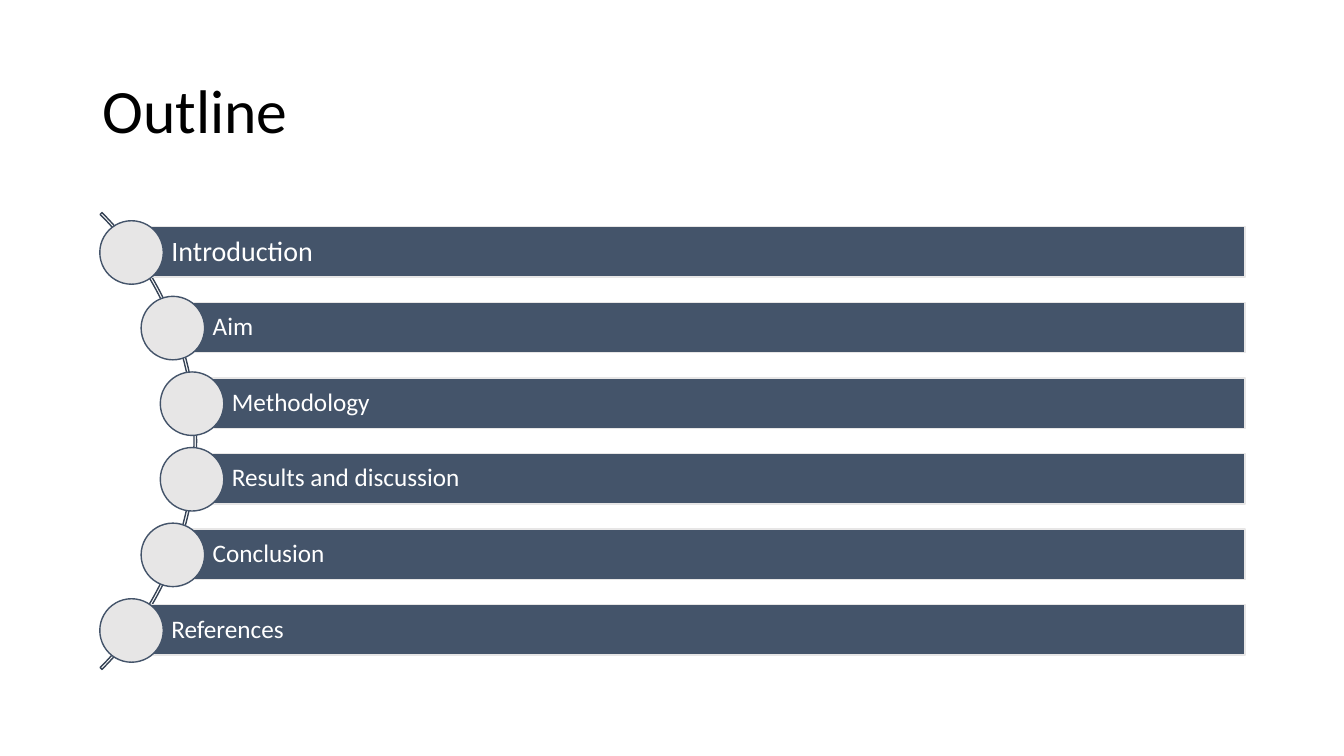
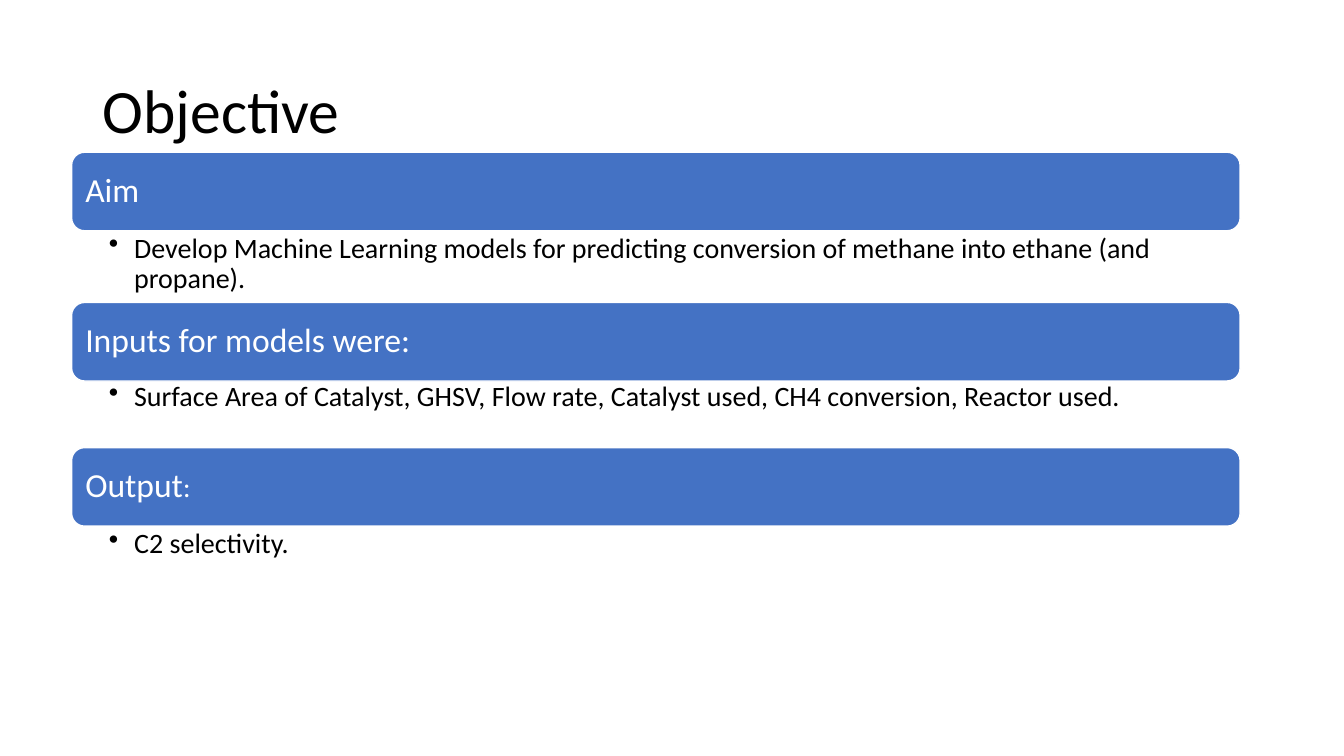
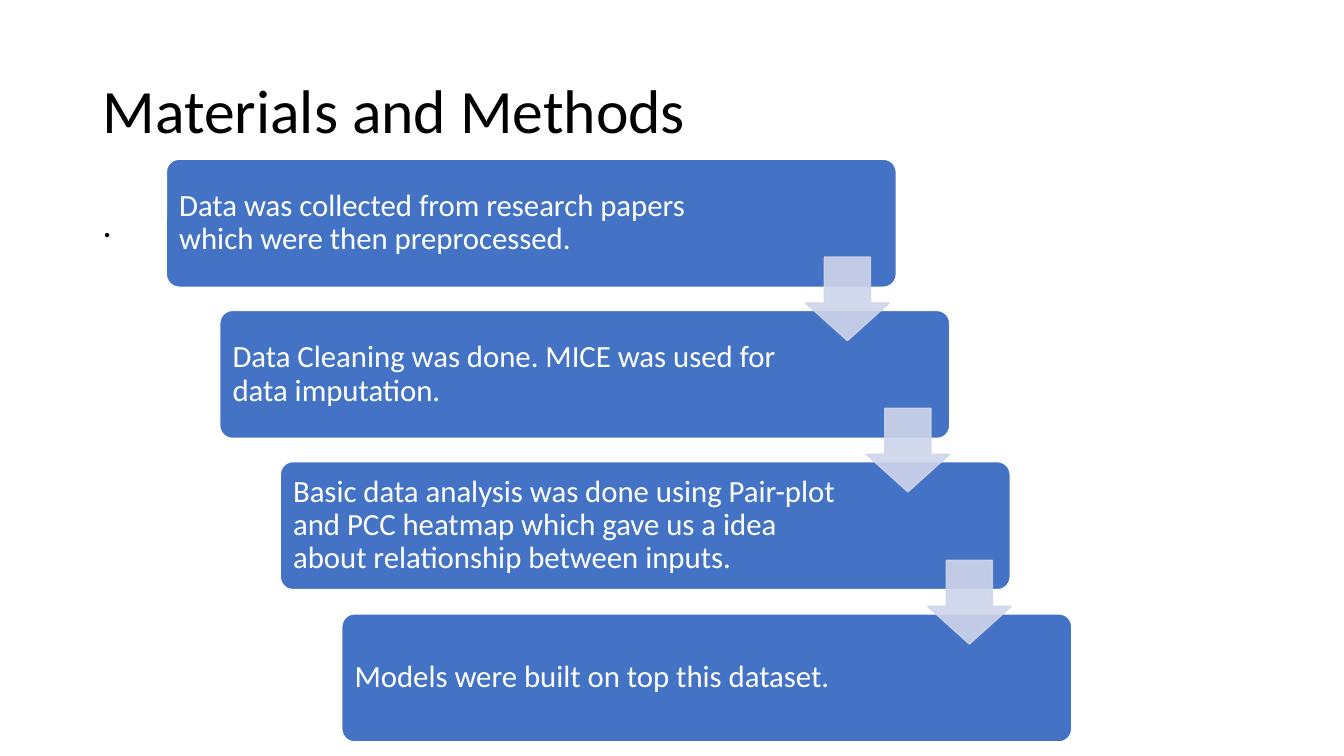
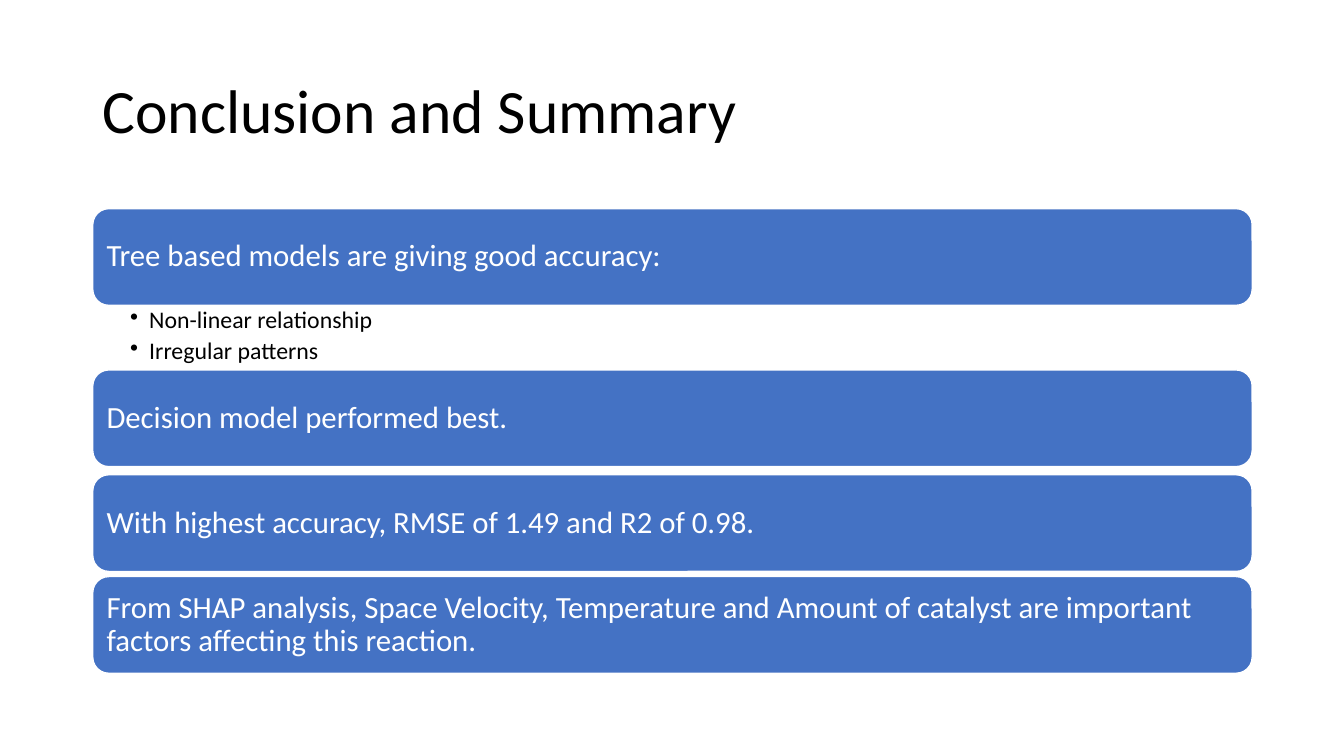
from dataclasses import dataclass

import pptx
import pptx.dml.color
import pptx.enum.shapes
import pptx.enum.text
import pptx.oxml.ns
import pptx.util
from lxml import etree

# Shared style: 100 px to the inch
PX = 9144
FONT = "Calibri"
BLACK, WHITE = "000000", "FFFFFF"
BLUE, SLATE, GREY = "4472C4", "44546A", "E7E6E6"
PALE, ARC_LINE = "CFD5EA", "364355"
SHAPE = pptx.enum.shapes.MSO_SHAPE
ANCHOR = pptx.enum.text.MSO_ANCHOR
Box = tuple[int, int, int, int]
DEFAULT_INSETS: Box = (10, 5, 10, 5)


@dataclass(frozen=True)
class OutlineItem:
    text: str
    x: int
    size: int = 18


@dataclass(frozen=True)
class Section:
    heading: str
    y: int
    bullets: str = ""
    bullets_y: int = 0
    tail: str = ""  # smaller end of the heading


@dataclass(frozen=True)
class SectionStyle:
    x: int
    w: int
    h: int
    size: int
    inset: int
    bullet_h: int
    bullet_size: int
    bullet_indent: int


@dataclass(frozen=True)
class Step:
    text: str
    x: int


OUTLINE = [
    OutlineItem("Introduction", 130, 20),
    OutlineItem("Aim", 171),
    OutlineItem("Methodology", 190),
    OutlineItem("Results and discussion", 190),
    OutlineItem("Conclusion", 171),
    OutlineItem("References", 130),
]

OBJECTIVE_STYLE = SectionStyle(71, 1159, 78, 24, 10, 69, 20, 25)
OBJECTIVE = [
    Section("Aim", 151, "Develop Machine Learning models for predicting conversion "
            "of methane into ethane (and propane).", 229),
    Section("Inputs for models were:", 300, "Surface Area of Catalyst, GHSV, Flow rate, "
            "Catalyst used, CH4 conversion, Reactor used.", 376),
    Section("Output", 444, "C2 selectivity.", 522, tail=":"),
]

STEPS = [
    Step("Data was collected from research papers which were then preprocessed.", 165),
    Step("Data Cleaning was done. MICE was used for data imputation.", 218),
    Step("Basic data analysis was done using Pair-plot and PCC heatmap which gave us "
         "a idea about relationship between inputs.", 278),
    Step("Models were built on top this dataset.", 339),
]

SUMMARY_STYLE = SectionStyle(92, 1150, 96, 22, 9, 65, 17, 19)
SUMMARY = [
    Section("Tree based models are giving good accuracy:", 207,
            "Non-linear relationship\nIrregular patterns", 303),
    Section("Decision model performed best.", 367),
    Section("With highest accuracy, RMSE of 1.49 and R2 of 0.98.", 471),
    Section("From SHAP analysis, Space Velocity, Temperature and Amount of catalyst "
            "are important factors affecting this reaction.", 572),
]


# Helpers
def px(n: int) -> pptx.util.Emu:
    return pptx.util.Emu(n * PX)


def rgb(color: str) -> pptx.dml.color.RGBColor:
    return pptx.dml.color.RGBColor.from_string(color)


def add_run(p, text: str, *, size: int, color: str) -> None:
    r = p.add_run()
    r.text = text
    r.font.name = FONT
    r.font.size = pptx.util.Pt(size)
    r.font.color.rgb = rgb(color)


def add_bullet(p, indent: int) -> None:
    pPr = p._p.get_or_add_pPr()
    pPr.set("marL", str(px(indent)))
    pPr.set("indent", str(-px(indent)))
    etree.SubElement(pPr, pptx.oxml.ns.qn("a:buChar")).set("char", "•")


def write(sp, text: str, *, size: int, color: str = WHITE, insets: Box = DEFAULT_INSETS,
          anchor=ANCHOR.MIDDLE, bullet_indent: int = 0):
    """Fill a shape with one paragraph a line; return the last paragraph."""
    tf = sp.text_frame
    tf.word_wrap = True
    tf.vertical_anchor = anchor
    tf.margin_left, tf.margin_top, tf.margin_right, tf.margin_bottom = map(px, insets)
    for i, line in enumerate(text.split("\n")):
        p = tf.add_paragraph() if i else tf.paragraphs[0]
        p.alignment = pptx.enum.text.PP_ALIGN.LEFT
        p.line_spacing = 0.9
        if bullet_indent:
            p.space_after = pptx.util.Pt(round(size * 0.2, 1))
            add_bullet(p, bullet_indent)
        add_run(p, line, size=size, color=color)
    return p


def add_text(slide, box: Box, text: str, **fmt):
    return write(slide.shapes.add_textbox(*map(px, box)), text, **fmt)


def add_shape(slide, kind, box: Box, *, fill: str | None, line: str,
              adjustments: tuple[float, ...] = (), opacity: int = 100):
    sp = slide.shapes.add_shape(kind, *map(px, box))
    sp.shadow.inherit = False
    for i, value in enumerate(adjustments):
        sp.adjustments[i] = value
    if fill is None:
        sp.fill.background()
    else:
        sp.fill.solid()
        sp.fill.fore_color.rgb = rgb(fill)
    sp.line.color.rgb = rgb(line)
    sp.line.width = pptx.util.Pt(1)
    if opacity < 100:
        for clr in sp._element.spPr.iter(pptx.oxml.ns.qn("a:srgbClr")):
            etree.SubElement(clr, pptx.oxml.ns.qn("a:alpha")).set("val", str(opacity * 1000))
    return sp


def add_slide(prs, title: str):
    slide = prs.slides.add_slide(prs.slide_layouts[6])
    add_text(slide, (92, 40, 1150, 145), title, size=44, color=BLACK)
    return slide


def add_sections(slide, sections: list[Section], style: SectionStyle) -> None:
    """Rounded heading bars, some with bullets beneath."""
    for s in sections:
        sp = add_shape(slide, SHAPE.ROUNDED_RECTANGLE, (style.x, s.y, style.w, style.h),
                       fill=BLUE, line=WHITE)
        p = write(sp, s.heading, size=style.size, insets=(style.inset,) * 4)
        if s.tail:
            add_run(p, s.tail, size=style.bullet_size, color=WHITE)
        if s.bullets:
            add_text(slide, (style.x, s.bullets_y, style.w, style.bullet_h), s.bullets,
                     size=style.bullet_size, color=BLACK, insets=(37, 3, 16, 3),
                     anchor=ANCHOR.TOP, bullet_indent=style.bullet_indent)


# Slides
def outline_slide(prs) -> None:
    slide = add_slide(prs, "Outline")
    right, top, pitch, bar_h, dot = 1235, 225, 75, 50, 63
    # Thin arc from 315 to 45 degrees behind the dots
    add_shape(slide, SHAPE.BLOCK_ARC, (-446, 117, 641, 641), fill=None, line=ARC_LINE,
              adjustments=(189, 27, 0.004))
    for i, item in enumerate(OUTLINE):
        y = top + i * pitch
        bar = add_shape(slide, SHAPE.RECTANGLE, (item.x, y, right - item.x, bar_h),
                        fill=SLATE, line=GREY)
        write(bar, item.text, size=item.size, insets=(40, 5, 5, 5))
        add_shape(slide, SHAPE.OVAL, (item.x - dot // 2, y + (bar_h - dot) // 2 + 1, dot, dot),
                  fill=GREY, line=SLATE)


def objective_slide(prs) -> None:
    add_sections(add_slide(prs, "Objective"), OBJECTIVE, OBJECTIVE_STYLE)


def methods_slide(prs) -> None:
    slide = add_slide(prs, "Materials and Methods")
    add_text(slide, (92, 200, 1150, 476), ".", size=26, color=BLACK, anchor=ANCHOR.TOP)
    first, last = 158, 609
    tops = [first + i * (last - first) // (len(STEPS) - 1) for i in range(len(STEPS))]
    for step, y in zip(STEPS, tops):
        sp = add_shape(slide, SHAPE.ROUNDED_RECTANGLE, (step.x, y, 724, 127),
                       fill=BLUE, line=WHITE, adjustments=(0.1,))
        write(sp, step.text, size=22, insets=(9, 9, 150, 9))
    # Each arrow points into the following step
    for step, y in zip(STEPS[1:], tops[1:]):
        add_shape(slide, SHAPE.DOWN_ARROW, (step.x + 581, y - 53, 83, 83), fill=PALE,
                  line=PALE, adjustments=(0.55, 0.45), opacity=90)


def summary_slide(prs) -> None:
    add_sections(add_slide(prs, "Conclusion and Summary"), SUMMARY, SUMMARY_STYLE)


def main() -> None:
    prs = pptx.Presentation()
    prs.slide_width, prs.slide_height = px(1333), px(750)
    for build in (outline_slide, objective_slide, methods_slide, summary_slide):
        build(prs)
    prs.save("out.pptx")


if __name__ == "__main__":
    main()
